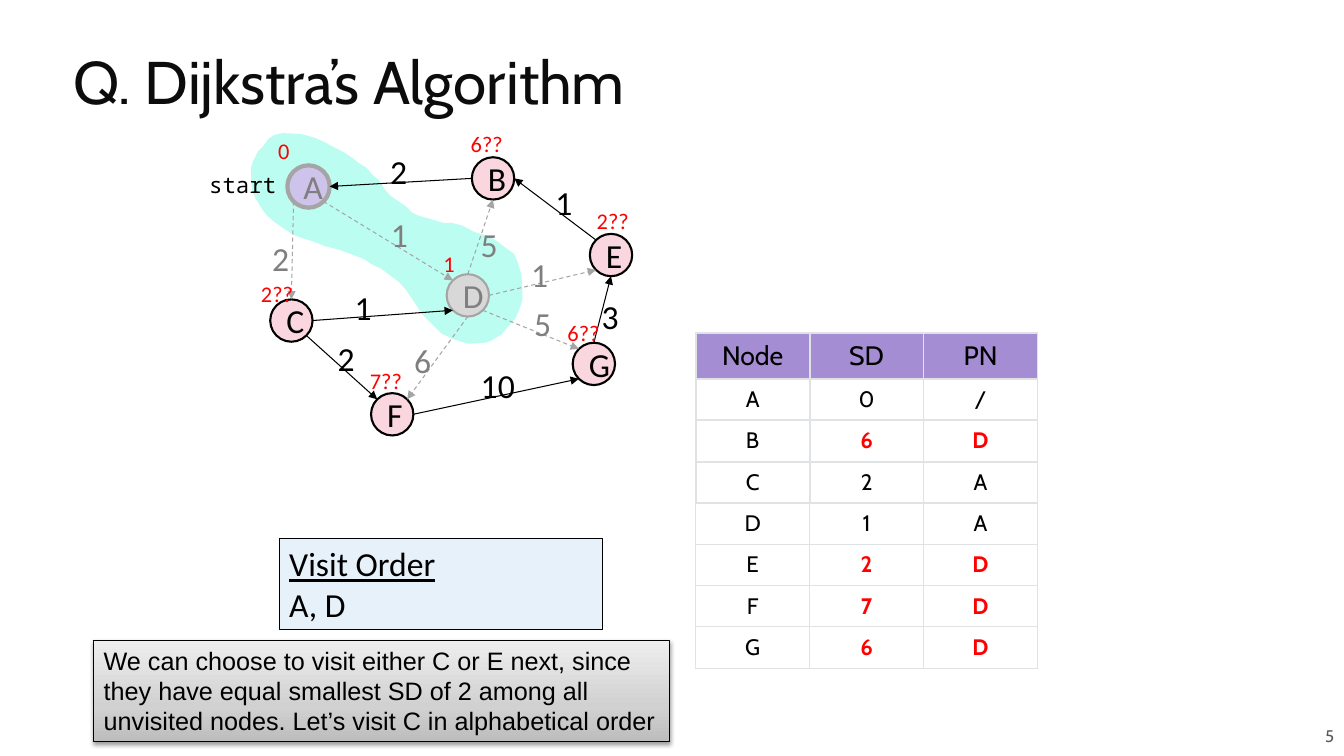
from math import sqrt
from lxml import etree
from pptx import Presentation
from pptx.dml.color import RGBColor
from pptx.enum.dml import MSO_LINE
from pptx.enum.shapes import MSO_CONNECTOR, MSO_SHAPE
from pptx.enum.text import MSO_ANCHOR, PP_ALIGN
from pptx.oxml import parse_xml
from pptx.oxml.ns import qn
from pptx.util import Inches, Pt

LEFT, CENTER, RIGHT = PP_ALIGN.LEFT, PP_ALIGN.CENTER, PP_ALIGN.RIGHT
TOP, MIDDLE = MSO_ANCHOR.TOP, MSO_ANCHOR.MIDDLE
NS = 'xmlns:a="http://schemas.openxmlformats.org/drawingml/2006/main"'
HEX = {
    "black": "000000", "white": "FFFFFF", "title": "0C0C0C", "red": "FF0000",
    "dim": "7F7F7F", "dim_line": "A5A5A5", "number": "595959", "visited": "BCFDF1",
    "start": "CEC4EB", "open": "FAD7DE", "done": "D8D8D8", "order": "E7F1FA",
    "header": "A48DD3", "border": "DFE3E5",
}
RGB = {name: RGBColor.from_string(value) for name, value in HEX.items()}


def add_text(p, text, size, color="black", font="Calibri", align=LEFT):
    p.alignment = align
    r = p.add_run()
    r.text = text
    r.font.size, r.font.name = Pt(size), font
    r.font.color.rgb = RGB[color]
    return r


def add_label(text, x, y, w, h, size, color="black", font="Calibri", align=LEFT, anchor=TOP):
    tf = s.shapes.add_textbox(Inches(x), Inches(y), Inches(w), Inches(h)).text_frame
    tf.word_wrap, tf.vertical_anchor = True, anchor
    if align == LEFT:
        tf.margin_right = 0
    add_text(tf.paragraphs[0], text, size, color, font, align)
    return tf


prs = Presentation()
prs.slide_width, prs.slide_height = Inches(13.33), Inches(7.5)
s = prs.slides.add_slide(prs.slide_layouts[5])

visited = [
    (4.39, 2.21), (4.26, 2.17), (4.15, 2.14), (4.09, 2.11), (4.03, 2.05), (3.94, 1.99),
    (3.87, 1.94), (3.81, 1.87), (3.76, 1.79), (3.70, 1.74), (3.63, 1.66), (3.56, 1.62),
    (3.50, 1.57), (3.41, 1.51), (3.35, 1.48), (3.29, 1.45), (3.22, 1.41), (3.13, 1.37),
    (3.03, 1.34), (2.98, 1.33), (2.80, 1.32), (2.72, 1.34), (2.66, 1.38), (2.61, 1.45),
    (2.56, 1.50), (2.51, 1.60), (2.49, 1.66), (2.49, 1.78), (2.50, 1.89), (2.53, 1.96),
    (2.56, 2.01), (2.61, 2.09), (2.65, 2.14), (2.72, 2.20), (2.82, 2.27), (2.91, 2.33),
    (2.99, 2.36), (3.09, 2.39), (3.22, 2.44), (3.37, 2.48), (3.48, 2.52), (3.61, 2.57),
    (3.70, 2.63), (3.77, 2.66), (3.84, 2.71), (3.96, 2.80), (4.03, 2.88), (4.07, 2.94),
    (4.13, 3.03), (4.17, 3.09), (4.21, 3.14), (4.29, 3.22), (4.38, 3.31), (4.51, 3.37),
    (4.65, 3.41), (4.81, 3.40), (4.87, 3.38), (4.97, 3.32), (5.04, 3.24), (5.11, 3.16),
    (5.15, 3.07), (5.18, 2.98), (5.18, 2.85), (5.17, 2.72), (5.13, 2.59), (5.10, 2.52),
    (5.03, 2.47), (4.91, 2.38), (4.83, 2.34), (4.70, 2.30), (4.59, 2.24), (4.48, 2.21),
]
fb = s.shapes.build_freeform(Inches(visited[0][0]), Inches(visited[0][1]))
fb.add_line_segments([(Inches(x), Inches(y)) for x, y in visited[1:]], close=True)
sp = fb.convert_to_shape()
sp.shadow.inherit = False
sp.fill.solid()
sp.fill.fore_color.rgb = RGB["visited"]
sp.line.fill.background()

title = s.shapes.title
title.left, title.top, title.width, title.height = map(Inches, (0.63, 0.29, 12.23, 1.11))
title.text_frame.vertical_anchor = MIDDLE
p = title.text_frame.paragraphs[0]
p.line_spacing = 0.9
add_text(p, "Q. Dijkstra’s Algorithm", 43, "title", "Cabin")

RADIUS = 0.21
DIAG = 1 / sqrt(2)
SITES = {
    "N": (0, -1), "S": (0, 1), "W": (-1, 0), "E": (1, 0),
    "NW": (-DIAG, -DIAG), "NE": (DIAG, -DIAG), "SW": (-DIAG, DIAG), "SE": (DIAG, DIAG),
}
nodes = {
    "A": (3.06, 1.85, "start", 3), "B": (4.89, 1.77, "open", 1.5),
    "C": (2.89, 3.18, "open", 1.5), "D": (4.64, 2.93, "done", 1.5),
    "E": (6.06, 2.53, "open", 1.5), "F": (3.89, 4.11, "open", 1.5),
    "G": (5.89, 3.61, "open", 1.5),
}
for name, (x, y, fill, width) in nodes.items():
    sp = s.shapes.add_shape(MSO_SHAPE.OVAL, Inches(x - RADIUS), Inches(y - RADIUS),
                            Inches(2 * RADIUS), Inches(2 * RADIUS))
    sp.shadow.inherit = False
    sp.fill.solid()
    sp.fill.fore_color.rgb = RGB[fill]
    sp.line.color.rgb = RGB["dim_line" if name in "AD" else "black"]
    sp.line.width = Pt(width)
    add_text(sp.text_frame.paragraphs[0], name, 24, "dim" if name in "AD" else "black", align=CENTER)

edges = [
    ("A", "SW", "C", "N", "2", 2.60, 2.31), ("B", "W", "A", "E", "2", 3.77, 1.45),
    ("D", "N", "B", "S", "5", 4.67, 2.17), ("A", "SE", "D", "NW", "1", 3.78, 2.07),
    ("C", "E", "D", "SW", "1", 3.42, 2.80), ("D", "E", "E", "SW", "1", 5.17, 2.47),
    ("E", "NW", "B", "E", "1", 5.41, 1.76), ("C", "SE", "F", "NW", "2", 3.25, 3.30),
    ("D", "S", "F", "NE", "6", 4.01, 3.32), ("D", "SE", "G", "NW", "5", 5.20, 2.96),
    ("G", "N", "E", "S", "3", 5.87, 2.89), ("F", "E", "G", "SW", "10", 4.67, 3.57),
]
for src, src_site, dst, dst_site, weight, x, y in edges:
    ends = [Inches(nodes[n][i] + RADIUS * SITES[site][i])
            for n, site in ((src, src_site), (dst, dst_site)) for i in (0, 1)]
    cx = s.shapes.add_connector(MSO_CONNECTOR.STRAIGHT, *ends)
    dim = src in "AD" and src != "B"
    cx.line.color.rgb = RGB["dim_line" if dim else "black"]
    cx.line.width = Pt(0.75)
    if dim:
        cx.line.dash_style = MSO_LINE.DASH
    etree.SubElement(cx.line._get_or_add_ln(), qn("a:tailEnd"), type="triangle")
    etree.SubElement(cx._element.spPr, qn("a:effectLst"))
    add_label(weight, x, y, 0.2 + 0.17 * len(weight), 0.5, 24, "dim" if dim else "black")

distances = [
    ("0", 2.66, 1.31), ("6??", 4.57, 1.24), ("2??", 5.82, 2.01), ("6??", 5.53, 3.12),
    ("1", 4.30, 2.43), ("2??", 2.49, 2.73), ("7??", 3.57, 3.59),
]
for text, x, y in distances:
    add_label(text, x, y, 0.22 + 0.1 * len(text), 0.37, 16, "red")

tf = add_label("start", 1.81, 1.57, 1.06, 0.52, 16, font="Noto Sans Mono", align=RIGHT)
tf.margin_left = tf.margin_right = tf.margin_top = tf.margin_bottom = Inches(0.13)
add_label("5", 8.65, 7.1, 4.68, 0.4, 12, "number", "Cabin", RIGHT, MIDDLE)

rows = [
    ("Node", "SD", "PN"), ("A", "0", "/"), ("B", "6", "D"), ("C", "2", "A"),
    ("D", "1", "A"), ("E", "2", "D"), ("F", "7", "D"), ("G", "6", "D"),
]
table = s.shapes.add_table(len(rows), 3, Inches(6.9), Inches(3.3), Inches(3.39), Inches(3.33)).table
table.first_row = table.horz_banding = False
for col in table.columns:
    col.width = Inches(1.13)
for i, row in enumerate(rows):
    table.rows[i].height = Inches(0.41 if i else 0.46)
    for j, text in enumerate(row):
        cell = table.cell(i, j)
        cell.vertical_anchor = MIDDLE
        cell.margin_left = cell.margin_right = cell.margin_top = cell.margin_bottom = Inches(0.07)
        cell.fill.solid()
        cell.fill.fore_color.rgb = RGB["white" if i else "header"]
        updated = row[2] == "D" and j > 0
        r = add_text(cell.text_frame.paragraphs[0], text, 16 if i else 19,
                     "red" if updated else "black", "Cabin", CENTER)
        r.font.bold = updated
        for k, side in enumerate("LRTB"):
            width = 1.5 if i < 4 or (i == 4 and side == "T") else 1
            cell._tc.get_or_add_tcPr().insert(k, parse_xml(
                f'<a:ln{side} {NS} w="{Pt(width)}"><a:solidFill>'
                f'<a:srgbClr val="{HEX["border"]}"/></a:solidFill></a:ln{side}>'))

panels = []
for x, y, w, h in ((2.77, 5.34, 3.21, 0.91), (0.93, 6.35, 5.71, 1.01)):
    sp = s.shapes.add_shape(MSO_SHAPE.RECTANGLE, Inches(x), Inches(y), Inches(w), Inches(h))
    sp.shadow.inherit = False
    sp.fill.solid()
    sp.fill.fore_color.rgb = RGB["order"]
    sp.line.color.rgb = RGB["black"]
    sp.line.width = Pt(0.75)
    sp.text_frame.word_wrap, sp.text_frame.vertical_anchor = True, TOP
    panels.append(sp)
order, note = panels

tf = order.text_frame
add_text(tf.paragraphs[0], "Visit Order", 24).font.underline = True
add_text(tf.add_paragraph(), "A, D", 24)

add_text(note.text_frame.paragraphs[0],
         "We can choose to visit either C or E next, since they have equal smallest SD of 2 "
         "among all unvisited nodes. Let’s visit C in alphabetical order", 18, font="Arial")
stops = "".join(f'<a:gs pos="{pos}000"><a:srgbClr val="{color}"/></a:gs>'
                for pos, color in ((0, "BDBDBD"), (35, "D1D1D1"), (100, "EEEEEE")))
spPr = note._element.spPr
spPr.replace(spPr.find(qn("a:solidFill")), parse_xml(
    f'<a:gradFill {NS} rotWithShape="1"><a:gsLst>{stops}</a:gsLst>'
    '<a:lin ang="16200000" scaled="0"/></a:gradFill>'))
spPr.find(qn("a:effectLst")).append(parse_xml(
    f'<a:outerShdw {NS} blurRad="{Pt(3.1)}" dist="{Pt(1.6)}" dir="5400000" rotWithShape="0">'
    f'<a:srgbClr val="{HEX["black"]}"><a:alpha val="38000"/></a:srgbClr></a:outerShdw>'))

prs.save("out.pptx")
